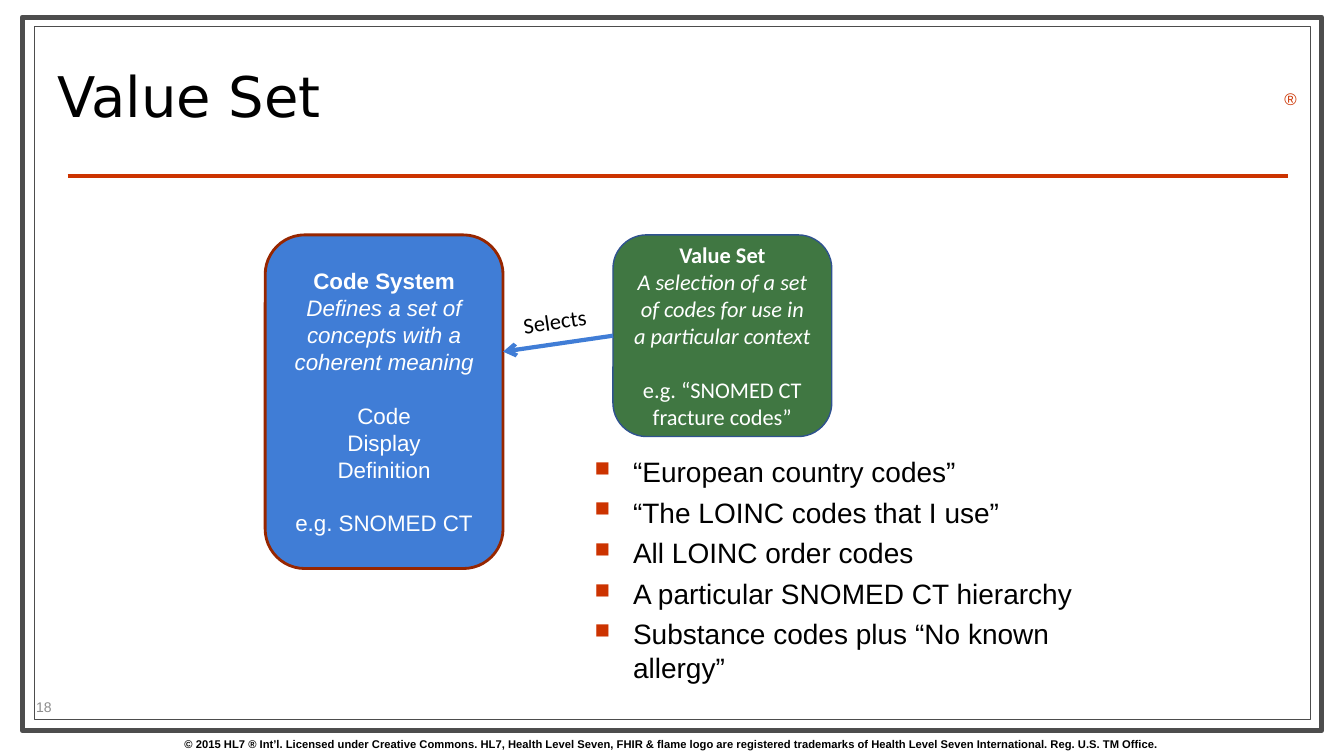
from dataclasses import dataclass

from lxml import etree
from pptx import Presentation
from pptx.dml.color import RGBColor
from pptx.enum.shapes import MSO_CONNECTOR, MSO_SHAPE
from pptx.enum.text import MSO_ANCHOR, MSO_AUTO_SIZE, PP_ALIGN
from pptx.oxml.ns import qn
from pptx.util import Inches, Pt

LEFT, CENTER = PP_ALIGN.LEFT, PP_ALIGN.CENTER
TOP, MIDDLE = MSO_ANCHOR.TOP, MSO_ANCHOR.MIDDLE
NO_AUTOFIT = MSO_AUTO_SIZE.NONE
RECTANGLE, ROUNDED = MSO_SHAPE.RECTANGLE, MSO_SHAPE.ROUNDED_RECTANGLE
STRAIGHT = MSO_CONNECTOR.STRAIGHT
LEFT_SITE = 1


@dataclass(frozen=True)
class Theme:
    white: str = "FFFFFF"
    black: str = "000000"
    frame: str = "4D4D4D"
    accent: str = "CC3300"
    muted: str = "8C8C8C"
    blue: str = "407DD6"
    blue_edge: str = "972600"
    green: str = "407742"
    green_edge: str = "2F528F"
    sans: str = "Arial"
    label: str = "Calibri"
    heading: str = "DejaVu Sans"
    title_size: int = 40
    list_size: int = 20
    diagram_size: int = 16
    mark_size: int = 12
    number_size: int = 10
    copyright_size: int = 8


@dataclass(frozen=True)
class Box:
    left: int
    top: int
    width: int
    height: int

    def share(self, left, top, width, height):
        return Box(
            self.left + round(self.width * left / 100),
            self.top + round(self.height * top / 100),
            round(self.width * width / 100),
            round(self.height * height / 100),
        )

    @property
    def bounds(self):
        return self.left, self.top, self.width, self.height


THEME = Theme()
COPYRIGHT = (
    "© 2015 HL7 ® Int’l. Licensed under Creative Commons. HL7, Health Level Seven, "
    "FHIR & flame logo are registered trademarks of Health Level Seven International. "
    "Reg. U.S. TM Office."
)
EXAMPLES = [
    "“European country codes”",
    "“The LOINC codes that I use”",
    "All LOINC order codes",
    "A particular SNOMED CT hierarchy",
    "Substance codes plus “No known allergy”",
]
CODE_SYSTEM = [
    ("Code System", {"bold": True}, 0),
    ("Defines a set of concepts with a coherent meaning", {"italic": True}, 0),
    ("Code", {}, 1),
    ("Display", {}, 0),
    ("Definition", {}, 0),
    ("e.g. SNOMED CT", {}, 1),
]
VALUE_SET = [
    ("Value Set", {"bold": True}, 0),
    ("A selection of a set of codes for use in a particular context", {"italic": True}, 0),
    ("e.g. “SNOMED CT fracture codes”", {}, 1),
]


def set_format(target, values):
    for name, value in values.items():
        setattr(target, name, value)


def write(paragraph, text, font, size, color, align=LEFT, **style):
    paragraph.text = text
    paragraph.alignment = align
    set_format(paragraph.font, {"name": font, "size": Pt(size), **style})
    paragraph.font.color.rgb = RGBColor.from_string(color)


def add_text(slide, box, text, font, size, color, anchor=TOP, wrap=True, **style):
    shape = slide.shapes.add_textbox(*box.bounds)
    set_format(shape.text_frame, {"word_wrap": wrap, "vertical_anchor": anchor})
    write(shape.text_frame.paragraphs[0], text, font, size, color, **style)
    return shape


def add_block(slide, box, preset, fill, edge, weight):
    shape = slide.shapes.add_shape(preset, *box.bounds)
    shape.shadow.inherit = False
    shape.fill.solid()
    shape.fill.fore_color.rgb = RGBColor.from_string(fill)
    shape.line.color.rgb = RGBColor.from_string(edge)
    shape.line.width = Pt(weight)
    return shape


def add_line(slide, start, end, color):
    line = slide.shapes.add_connector(STRAIGHT, *start, *end)
    line.line.color.rgb = RGBColor.from_string(color)
    line.line.width = Pt(3)
    etree.SubElement(line.element.spPr, qn("a:effectLst"))
    return line


def add_frame(slide, box):
    add_block(slide, box.share(1.65, 2.27, 96.7, 94.4), RECTANGLE, THEME.white, THEME.frame, 3.5)
    add_block(slide, box.share(2.55, 3.47, 94.97, 91.73), RECTANGLE, THEME.white, THEME.frame, 0.75)
    rule = box.share(5.03, 23.33, 90.77, 0)
    add_line(slide, (rule.left, rule.top), (rule.left + rule.width, rule.top), THEME.accent)
    add_text(slide, box.share(0, 96.93, 100, 3.07), COPYRIGHT, THEME.sans,
             THEME.copyright_size, THEME.black, align=CENTER, bold=True)
    add_text(slide, box.share(94.82, 11.07, 3.15, 4), "®", THEME.sans,
             THEME.mark_size, THEME.accent)
    add_text(slide, box.share(1.95, 91.87, 7.88, 3.2), "18", THEME.sans,
             THEME.number_size, THEME.muted, anchor=MIDDLE)


def add_title(slide, box):
    title = slide.shapes.title
    title.element.getparent().append(title.element)
    set_format(title, dict(zip(("left", "top", "width", "height"), box.bounds)))
    set_format(title.text_frame, {"auto_size": NO_AUTOFIT, "word_wrap": True,
                                  "vertical_anchor": MIDDLE})
    paragraph = title.text_frame.paragraphs[0]
    write(paragraph, "Value Set", THEME.heading, THEME.title_size, THEME.black)
    paragraph.line_spacing = 0.8


def add_bullet(paragraph):
    properties = paragraph._p.get_or_add_pPr()
    indent = Inches(0.38)
    properties.set("marL", str(indent))
    properties.set("indent", str(-indent))
    color = etree.SubElement(properties, qn("a:buClr"))
    etree.SubElement(color, qn("a:srgbClr"), val=THEME.accent)
    etree.SubElement(properties, qn("a:buSzPct"), val="75000")
    etree.SubElement(properties, qn("a:buChar"), char="■")


def add_examples(slide, box):
    frame = slide.shapes.add_textbox(*box.bounds).text_frame
    frame.word_wrap = True
    for index, text in enumerate(EXAMPLES):
        paragraph = frame.add_paragraph() if index else frame.paragraphs[0]
        if index:
            paragraph.space_before = Pt(5)
        add_bullet(paragraph)
        write(paragraph, text, THEME.sans, THEME.list_size, THEME.black)


def add_concept(slide, box, lines, font, fill, edge, weight):
    shape = add_block(slide, box, ROUNDED, fill, edge, weight)
    frame = shape.text_frame
    set_format(frame, {"word_wrap": True, "vertical_anchor": MIDDLE})
    pitch = Pt(19.25)
    for index, (text, style, gap) in enumerate(lines):
        paragraph = frame.add_paragraph() if index else frame.paragraphs[0]
        write(paragraph, text, font, THEME.diagram_size, THEME.white, CENTER, **style)
        paragraph.line_spacing = pitch
        if gap:
            paragraph.space_before = gap * pitch
    return shape


def add_diagram(slide, box):
    code_box = box.share(19.73, 31.07, 17.7, 44.13)
    add_concept(slide, code_box, CODE_SYSTEM, THEME.sans, THEME.blue, THEME.blue_edge, 2)
    value_set = add_concept(slide, box.share(45.61, 31.07, 16.28, 26.67), VALUE_SET,
                            THEME.label, THEME.green, THEME.green_edge, 1)
    target = code_box.share(100, 35, 0, 0)
    arrow = add_line(slide, (value_set.left, value_set.top + value_set.height // 2),
                     (target.left, target.top), THEME.blue)
    arrow.begin_connect(value_set, LEFT_SITE)
    etree.SubElement(arrow.element.spPr.find(qn("a:ln")), qn("a:tailEnd"), type="arrow")
    label = add_text(slide, box.share(38.18, 40, 6.3, 4.93), "Selects", THEME.label,
                     THEME.diagram_size, THEME.black, wrap=False)
    label.rotation = 351.6


def main():
    presentation = Presentation()
    set_format(presentation, {"slide_width": Inches(13.33), "slide_height": Inches(7.5)})
    slide = presentation.slides.add_slide(presentation.slide_layouts[5])
    page = Box(0, 0, presentation.slide_width, presentation.slide_height)
    add_frame(slide, page)
    add_title(slide, page.share(3.53, 4.8, 76.22, 17.2))
    add_examples(slide, page.share(43.51, 59.47, 40.14, 35.73))
    add_diagram(slide, page)
    presentation.save("out.pptx")


if __name__ == "__main__":
    main()
